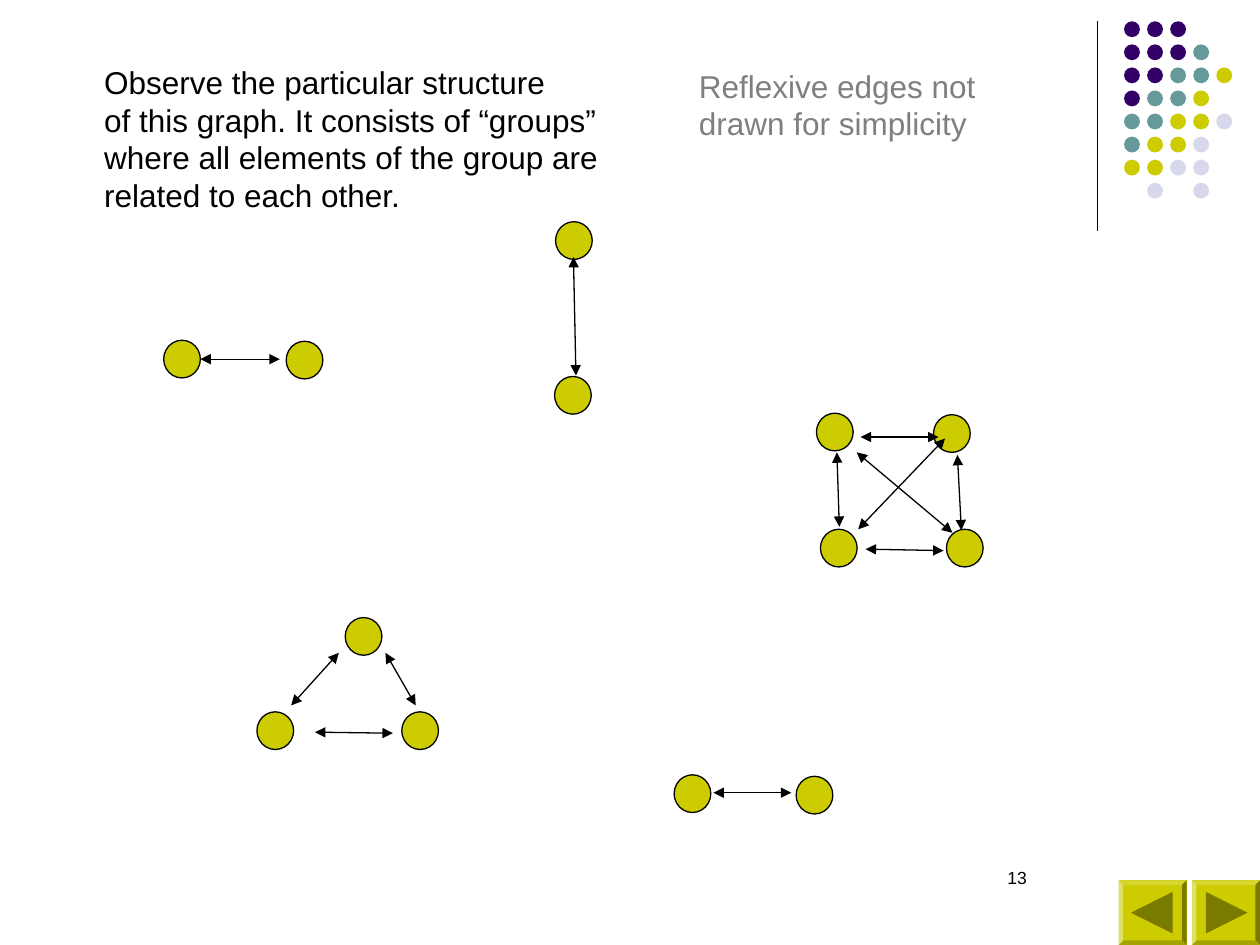
from dataclasses import dataclass

from lxml import etree
from pptx import Presentation
from pptx import util as u
from pptx.dml.color import RGBColor
from pptx.enum import shapes, text
from pptx.oxml import ns

Point = tuple[float, float]

BLACK, GRAY = "000000", "7F7F7F"
OLIVE, PURPLE, TEAL, LAVENDER = "CCCC00", "330066", "669999", "D8D8EC"
NODE_W, NODE_H = 0.74, 0.76
DOT, DOT_PITCH = 0.32, 0.465
BUTTON_W, BUTTON_H, BEVEL = 1.37, 1.3, 0.09


@dataclass
class Group:
    """Related elements: node corners and double arrows, in centimetres."""
    nodes: list[Point]
    edges: list[tuple[Point, Point]]


@dataclass
class Button:
    x: float
    y: float
    forward: bool


GROUPS = [
    Group([(3.3, 6.86), (5.77, 6.88)], [((4.04, 7.24), (5.64, 7.24))]),
    Group([(5.18, 14.35), (6.96, 12.45), (8.1, 14.35)],
          [((5.87, 14.22), (6.83, 13.16)),
           ((6.35, 14.76), (7.92, 14.78)),
           ((7.77, 13.16), (8.38, 14.22))]),
    Group([(16.46, 8.33), (16.54, 10.67), (18.82, 8.36), (19.08, 10.67)],
          [((16.92, 10.62), (16.87, 9.12)),
           ((19.38, 10.69), (19.3, 9.17)),
           ((17.45, 11.07), (19.02, 11.1)),
           ((17.35, 8.81), (18.92, 8.81)),
           ((17.27, 9.12), (19.2, 10.74)),
           ((17.3, 10.67), (19.05, 8.84))]),
    Group([(11.2, 4.47), (11.18, 7.59)], [((11.61, 7.57), (11.56, 5.18))]),
    Group([(13.59, 15.62), (16.05, 15.65)], [((14.38, 15.98), (15.95, 15.98))]),
]
BUTTONS = [Button(24.03, 17.75, True), Button(22.55, 17.75, False)]

# One letter per dot, one string per row
DOT_COLORS = {"P": PURPLE, "T": TEAL, "O": OLIVE, "L": LAVENDER}
DOT_ROWS = ["PPP", "PPPT", "PPTTO", "PTTO", "TTOOL", "TOOL", "OOLL", " L L"]


def rgb(color: str) -> RGBColor:
    return RGBColor.from_string(color)


def paint(sp, fill: str, line: str | None = None) -> None:
    sp.shadow.inherit = False
    sp.fill.solid()
    sp.fill.fore_color.rgb = rgb(fill)
    if line:
        sp.line.color.rgb = rgb(line)
        sp.line.width = u.Pt(0.75)
    else:
        sp.line.fill.background()


def add_circle(s, x: float, y: float, w: float, h: float,
               fill: str, line: str | None = None) -> None:
    sp = s.shapes.add_shape(shapes.MSO_SHAPE.OVAL,
                            u.Cm(x), u.Cm(y), u.Cm(w), u.Cm(h))
    paint(sp, fill, line)


def add_line(s, start: Point, end: Point, arrows: bool = False) -> None:
    c = s.shapes.add_connector(shapes.MSO_CONNECTOR.STRAIGHT,
                               *(u.Cm(v) for v in start + end))
    c.line.color.rgb = rgb(BLACK)
    c.line.width = u.Pt(0.75)
    if arrows:
        for tag in ("a:headEnd", "a:tailEnd"):
            etree.SubElement(c.line._get_or_add_ln(), ns.qn(tag),
                             type="triangle")
    etree.SubElement(c._element.spPr, ns.qn("a:effectLst"))


def add_polygon(s, points: list[Point], fill: str) -> None:
    pts = [(u.Cm(x), u.Cm(y)) for x, y in points]
    fb = s.shapes.build_freeform(*pts[0])
    fb.add_line_segments(pts[1:], close=True)
    paint(fb.convert_to_shape(), fill)


def add_button(s, b: Button) -> None:
    def corners(inset: float) -> list[Point]:
        left, top = b.x + inset, b.y + inset
        right, bottom = b.x + BUTTON_W - inset, b.y + BUTTON_H - inset
        return [(left, top), (right, top), (right, bottom), (left, bottom)]

    outer, inner = corners(0), corners(BEVEL)
    add_polygon(s, outer, OLIVE)
    # Bevel sides: top, right, bottom, left
    for i, fill in enumerate(["D6D633", "7A7A00", "A3A300", "E0E066"]):
        j = (i + 1) % 4
        add_polygon(s, [outer[i], outer[j], inner[j], inner[i]], fill)
    arrow = [(0.28, 0.23), (1.12, 0.65), (0.28, 1.07)]
    add_polygon(s, [(b.x + (x if b.forward else BUTTON_W - x), b.y + y)
                    for x, y in arrow], "7A7A00")


def add_text(s, content: str, x: float, y: float, w: float, h: float, *,
             size: float = 18, color: str = BLACK, font: str = "Arial",
             align=text.PP_ALIGN.LEFT, wrap: bool = True) -> None:
    tf = s.shapes.add_textbox(u.Cm(x), u.Cm(y), u.Cm(w), u.Cm(h)).text_frame
    tf.word_wrap = wrap
    for i, line in enumerate(content.split("\n")):
        p = tf.paragraphs[0] if i == 0 else tf.add_paragraph()
        p.alignment = align
        r = p.add_run()
        r.text = line
        r.font.name = font
        r.font.size = u.Pt(size)
        r.font.color.rgb = rgb(color)


def main() -> None:
    prs = Presentation()
    prs.slide_width, prs.slide_height = u.Cm(25.4), u.Cm(19.05)
    s = prs.slides.add_slide(prs.slide_layouts[6])

    # Corner decoration
    add_line(s, (22.12, 0.43), (22.12, 4.65))
    for row, letters in enumerate(DOT_ROWS):
        for col, letter in enumerate(letters):
            if letter in DOT_COLORS:
                add_circle(s, 22.66 + col * DOT_PITCH, 0.43 + row * DOT_PITCH,
                           DOT, DOT, DOT_COLORS[letter])

    # Navigation buttons and page number
    for b in BUTTONS:
        add_button(s, b)
    add_text(s, "13", 18.21, 17.35, 2.74, 1.27, size=10,
             align=text.PP_ALIGN.RIGHT)

    # Graph: all nodes lie behind the arrows
    for group in GROUPS:
        for x, y in group.nodes:
            add_circle(s, x, y, NODE_W, NODE_H, OLIVE, BLACK)
    for group in GROUPS:
        for start, end in group.edges:
            add_line(s, start, end, arrows=True)

    # Remarks
    add_text(s, "Reflexive edges not drawn for simplicity",
             13.84, 1.22, 6.83, 1.78, color=GRAY)
    add_text(s, "Observe the particular structure\n"
                "of this graph. It consists of “groups”\n"
                "where all elements of the group are\n"
                "related to each other.",
             1.85, 1.14, 10.64, 3.3, wrap=False)

    prs.save("out.pptx")


if __name__ == "__main__":
    main()
